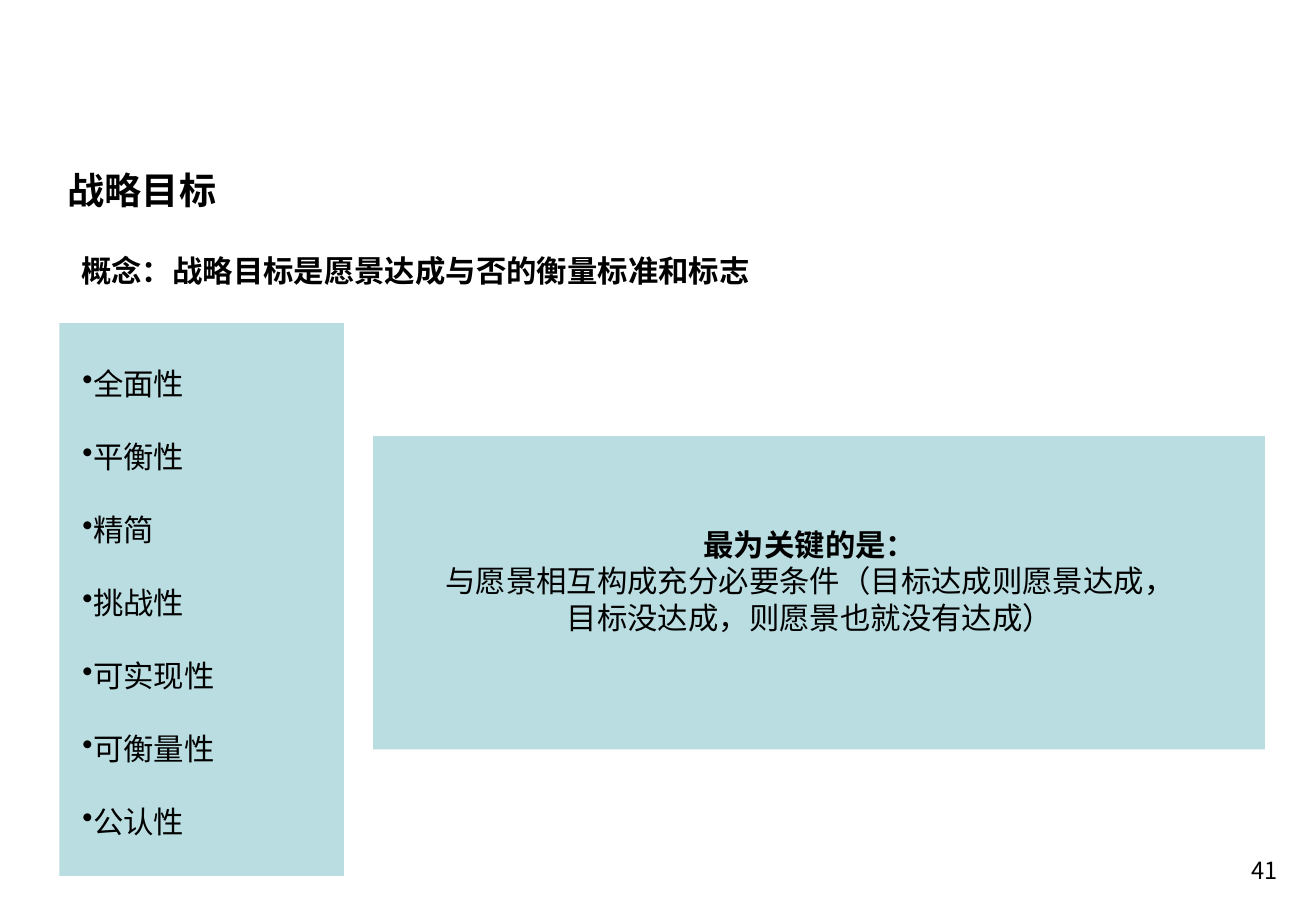
from dataclasses import dataclass

from lxml import etree
from pptx import Presentation
from pptx.dml.color import RGBColor
from pptx.enum.shapes import MSO_SHAPE
from pptx.enum.text import PP_ALIGN
from pptx.oxml.ns import qn
from pptx.util import Inches, Pt

RECT = MSO_SHAPE.RECTANGLE
LEFT, CENTER, RIGHT = PP_ALIGN.LEFT, PP_ALIGN.CENTER, PP_ALIGN.RIGHT
COLUMNS = ROWS = 100


@dataclass(frozen=True)
class Theme:
    font: str = "Noto Sans CJK SC"
    ink: RGBColor = RGBColor(0x00, 0x00, 0x00)
    panel: RGBColor = RGBColor(0xBA, 0xDD, 0xE1)
    title: int = 22
    body: int = 18
    number: int = 14


class SlideBuilder:
    def __init__(self, prs, theme):
        self.theme = theme
        self.column = prs.slide_width / COLUMNS
        self.row = prs.slide_height / ROWS
        self.s = prs.slides.add_slide(prs.slide_layouts[6])

    def place(self, x, y, w, h):
        return (round(x * self.column), round(y * self.row),
                round(w * self.column), round(h * self.row))

    def panel(self, *cells):
        sp = self.s.shapes.add_shape(RECT, *self.place(*cells))
        sp.shadow.inherit = False
        sp.fill.solid()
        sp.fill.fore_color.rgb = self.theme.panel
        sp.line.fill.background()

    def run(self, p, text, size, bold):
        r = p.add_run()
        r.text = text
        r.font.size = Pt(size)
        r.font.bold = bold
        r.font.name = self.theme.font
        r.font.color.rgb = self.theme.ink
        ea = etree.SubElement(r.font._element, qn("a:ea"))
        ea.set("typeface", self.theme.font)

    def text(self, cells, lines, size, align=LEFT, spacing=1.0, bullet=None):
        tf = self.s.shapes.add_textbox(*self.place(*cells)).text_frame
        tf.word_wrap = True
        for i, (text, bold) in enumerate(lines):
            p = tf.add_paragraph() if i else tf.paragraphs[0]
            p.alignment = align
            p.line_spacing = spacing
            if bullet:
                pPr = p._p.get_or_add_pPr()
                pPr.set("marL", "0")
                pPr.set("indent", "0")
                etree.SubElement(pPr, qn("a:buChar")).set("char", bullet)
            self.run(p, text, size, bold)


def main():
    prs = Presentation()
    prs.slide_width, prs.slide_height = Inches(10.83), Inches(7.5)
    theme = Theme()
    slide = SlideBuilder(prs, theme)

    slide.text((4.25, 15.33, 86.24, 8.5), [("战略目标", True)],
               theme.title, spacing=1.5)
    slide.text((74.61, 93.33, 23.36, 4.67), [("41", False)],
               theme.number, align=RIGHT)
    slide.text((5.26, 27.07, 85.04, 5.33),
               [("概念：战略目标是愿景达成与否的衡量标准和标志", True)], theme.body)

    criteria = ["全面性", "平衡性", "精简", "挑战性", "可实现性", "可衡量性", "公认性"]
    slide.panel(4.52, 35.47, 21.61, 60.67)
    slide.text((5.36, 35.47, 18.47, 62.53), [(name, False) for name in criteria],
               theme.body, spacing=2.0, bullet="•")

    slide.panel(28.35, 47.87, 67.77, 34.4)
    slide.text((31.95, 57.07, 59.19, 13.47), [
        ("最为关键的是：", True),
        ("与愿景相互构成充分必要条件（目标达成则愿景达成，目标没达成，则愿景也就没有达成）", False),
    ], theme.body, align=CENTER)

    prs.save("out.pptx")


if __name__ == "__main__":
    main()
